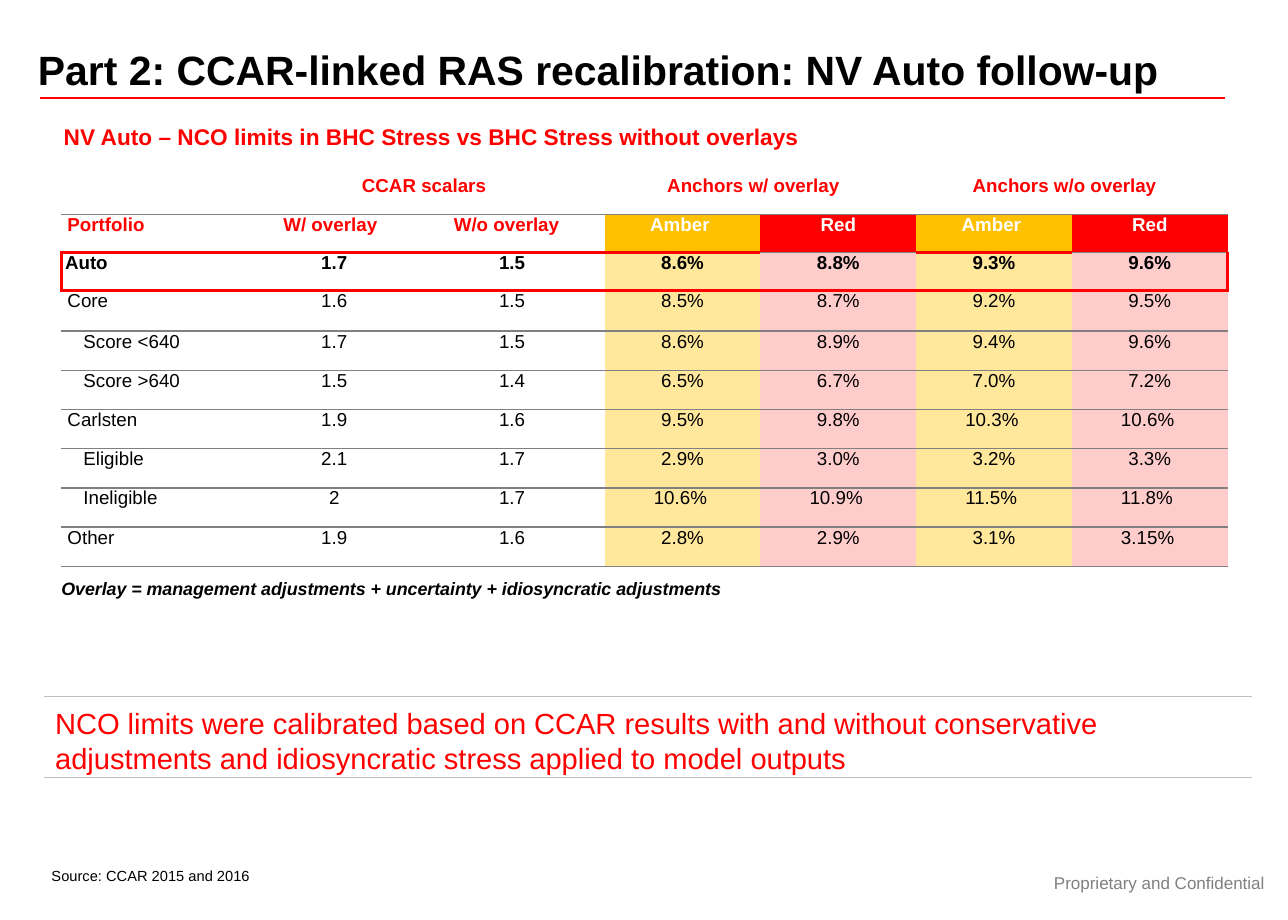
from dataclasses import dataclass

from lxml import etree
from pptx import Presentation
from pptx.dml.color import RGBColor
from pptx.enum.shapes import MSO_CONNECTOR
from pptx.enum.text import MSO_ANCHOR, PP_ALIGN
from pptx.oxml.ns import qn
from pptx.util import Emu, Pt

EMU_PER_PX = 9144
STRAIGHT = MSO_CONNECTOR.STRAIGHT
LEFT, CENTER = PP_ALIGN.LEFT, PP_ALIGN.CENTER
TOP, MIDDLE = MSO_ANCHOR.TOP, MSO_ANCHOR.MIDDLE
FONT = "Arial"
BLACK, WHITE, RED, GRAY, SILVER = "000000", "FFFFFF", "FF0000", "808080", "C0C0C0"
AMBER, PALE_AMBER, PALE_RED = "FFC000", "FFE79B", "FFCCCC"
PLAIN_TABLE_STYLE = "{2D5ABB26-0587-4C30-8999-92F81FD0307C}"

COLUMN_WIDTHS = [141, 151, 151, 127, 127, 127, 127]
ROW_HEIGHTS = [32, 31, 31, 33] + [32] * 6
AMBER_COLUMNS, RED_COLUMNS = (3, 5), (4, 6)
AUTO_ROW = 2


@dataclass
class Label:
    text: str
    left: int
    top: int
    width: int
    height: int
    size: float
    color: str = BLACK
    bold: bool = False
    italic: bool = False
    align: PP_ALIGN = LEFT
    anchor: MSO_ANCHOR = TOP
    line_spacing: float = 1.0


@dataclass
class Rule:
    left: int
    right: int
    top: int
    color: str
    weight: float


@dataclass
class Entry:
    text: str
    indent: int = 0
    align: PP_ALIGN = LEFT


@dataclass
class Portfolio:
    name: str
    indent: int
    values: str


LABELS = [
    Label("Source: CCAR 2015 and 2016", 42, 707, 200, 14, 8.6),
    Label("NV Auto – NCO limits in BHC Stress vs BHC Stress without overlays",
          52, 100, 640, 22, 13.3, RED, bold=True),
    Label("Part 2: CCAR-linked RAS recalibration: NV Auto follow-up",
          31, 41, 990, 36, 24, bold=True, line_spacing=0.9),
    Label("Overlay = management adjustments + uncertainty + idiosyncratic adjustments",
          50, 471, 892, 18, 10.5, bold=True, italic=True),
    Label("NCO limits were calibrated based on CCAR results with and without "
          "conservative adjustments and idiosyncratic stress applied to model outputs",
          45, 575, 899, 58, 17.1, RED),
    Label("Proprietary and Confidential", 840, 700, 210, 40, 10, GRAY,
          align=CENTER, anchor=MIDDLE),
]
RULES = [
    Rule(33, 999, 80, RED, 1),
    Rule(36, 1021, 568, SILVER, 0.75),
    Rule(36, 1021, 634, SILVER, 0.75),
]
GROUPS = {
    1: Entry("CCAR scalars", 104),
    3: Entry("Anchors w/ overlay", 51),
    5: Entry("Anchors w/o overlay", 46),
}
LIMIT_HEADERS = [Entry("Amber", 37), Entry("Red", 0, CENTER)]
HEADERS = [Entry("Portfolio", 5), Entry("W/ overlay", 40), Entry("W/o overlay", 28)] + LIMIT_HEADERS * 2
PORTFOLIOS = [
    Portfolio("Auto", 3, "1.7 1.5 8.6% 8.8% 9.3% 9.6%"),
    Portfolio("Core", 5, "1.6 1.5 8.5% 8.7% 9.2% 9.5%"),
    Portfolio("Score <640", 18, "1.7 1.5 8.6% 8.9% 9.4% 9.6%"),
    Portfolio("Score >640", 18, "1.5 1.4 6.5% 6.7% 7.0% 7.2%"),
    Portfolio("Carlsten", 5, "1.9 1.6 9.5% 9.8% 10.3% 10.6%"),
    Portfolio("Eligible", 18, "2.1 1.7 2.9% 3.0% 3.2% 3.3%"),
    Portfolio("Ineligible", 18, "2 1.7 10.6% 10.9% 11.5% 11.8%"),
    Portfolio("Other", 5, "1.9 1.6 2.8% 2.9% 3.1% 3.15%"),
]


def px(length: int) -> Emu:
    return Emu(length * EMU_PER_PX)


def rgb(color: str) -> RGBColor:
    return RGBColor.from_string(color)


def format_spans(para, size: float, color: str, bold: bool, italic: bool = False) -> None:
    for span in para.runs:
        span.font.name = FONT
        span.font.size = Pt(size)
        span.font.bold = bold
        span.font.italic = italic
        span.font.color.rgb = rgb(color)


def draw_label(page, label: Label) -> None:
    box = page.shapes.add_textbox(px(label.left), px(label.top), px(label.width), px(label.height))
    frame = box.text_frame
    frame.word_wrap = True
    frame.margin_left = frame.margin_right = frame.margin_top = frame.margin_bottom = 0
    frame.vertical_anchor = label.anchor
    frame.text = label.text
    para = frame.paragraphs[0]
    para.alignment = label.align
    para.line_spacing = label.line_spacing
    format_spans(para, label.size, label.color, label.bold, label.italic)


def draw_rule(page, rule: Rule) -> None:
    line = page.shapes.add_connector(STRAIGHT, px(rule.left), px(rule.top), px(rule.right), px(rule.top))
    line.line.color.rgb = rgb(rule.color)
    line.line.width = Pt(rule.weight)
    etree.SubElement(line._element.spPr, qn("a:effectLst"))


def add_border(cell, side: str, color: str, weight: float) -> None:
    border = etree.SubElement(cell._tc.get_or_add_tcPr(), qn(f"a:ln{side}"), w=str(Pt(weight)))
    fill = etree.SubElement(border, qn("a:solidFill"))
    etree.SubElement(fill, qn("a:srgbClr"), val=color)


def draw_edge(cell, side: str, boundary: int, column: int) -> None:
    framed = boundary == AUTO_ROW + 1 or (boundary == AUTO_ROW and column not in RED_COLUMNS)
    if framed:
        add_border(cell, side, RED, 2.25)
    elif boundary > 0:
        add_border(cell, side, GRAY, 1)


def style_cell(cell, row: int, column: int) -> None:
    cell.margin_left = cell.margin_right = cell.margin_top = cell.margin_bottom = 0
    if row == AUTO_ROW and column == 0:
        add_border(cell, "L", RED, 2.25)
    if row == AUTO_ROW and column == len(COLUMN_WIDTHS) - 1:
        add_border(cell, "R", RED, 2.25)
    draw_edge(cell, "T", row, column)
    draw_edge(cell, "B", row + 1, column)
    if row > 0 and column in AMBER_COLUMNS + RED_COLUMNS:
        header, body = (AMBER, PALE_AMBER) if column in AMBER_COLUMNS else (RED, PALE_RED)
        cell.fill.solid()
        cell.fill.fore_color.rgb = rgb(header if row == 1 else body)
    else:
        cell.fill.background()


def write_entry(cell, entry: Entry, color: str, bold: bool) -> None:
    cell.text_frame.text = entry.text
    para = cell.text_frame.paragraphs[0]
    para.alignment = entry.align
    para._p.get_or_add_pPr().set("marL", str(px(entry.indent)))
    format_spans(para, 11, color, bold)


def value_entry(text: str, column: int) -> Entry:
    if len(text) > 4:
        return Entry(text, 40)
    return Entry(text, 12 if column == 1 else 0, CENTER)


def draw_table(page) -> None:
    frame = page.shapes.add_table(len(ROW_HEIGHTS), len(COLUMN_WIDTHS), px(50), px(143),
                                  px(sum(COLUMN_WIDTHS)), px(sum(ROW_HEIGHTS)))
    table = frame.table
    table.first_row = table.horz_banding = False
    table._tbl.tblPr.find(qn("a:tableStyleId")).text = PLAIN_TABLE_STYLE
    for column, width in enumerate(COLUMN_WIDTHS):
        table.columns[column].width = px(width)
    for row, height in enumerate(ROW_HEIGHTS):
        table.rows[row].height = px(height)
        for column in range(len(COLUMN_WIDTHS)):
            style_cell(table.cell(row, column), row, column)
    for column, group in GROUPS.items():
        table.cell(0, column).merge(table.cell(0, column + 1))
        write_entry(table.cell(0, column), group, RED, True)
    for column, header in enumerate(HEADERS):
        write_entry(table.cell(1, column), header, RED if column < 3 else WHITE, True)
    for row, portfolio in enumerate(PORTFOLIOS, AUTO_ROW):
        entries = [Entry(portfolio.name, portfolio.indent)]
        entries += [value_entry(text, column) for column, text in enumerate(portfolio.values.split(), 1)]
        for column, entry in enumerate(entries):
            write_entry(table.cell(row, column), entry, BLACK, row == AUTO_ROW)


def main() -> None:
    deck = Presentation()
    deck.slide_width, deck.slide_height = px(1050), px(750)
    page = deck.slides.add_slide(deck.slide_layouts[6])
    for rule in RULES:
        draw_rule(page, rule)
    for label in LABELS:
        draw_label(page, label)
    draw_table(page)
    deck.save("out.pptx")


if __name__ == "__main__":
    main()
